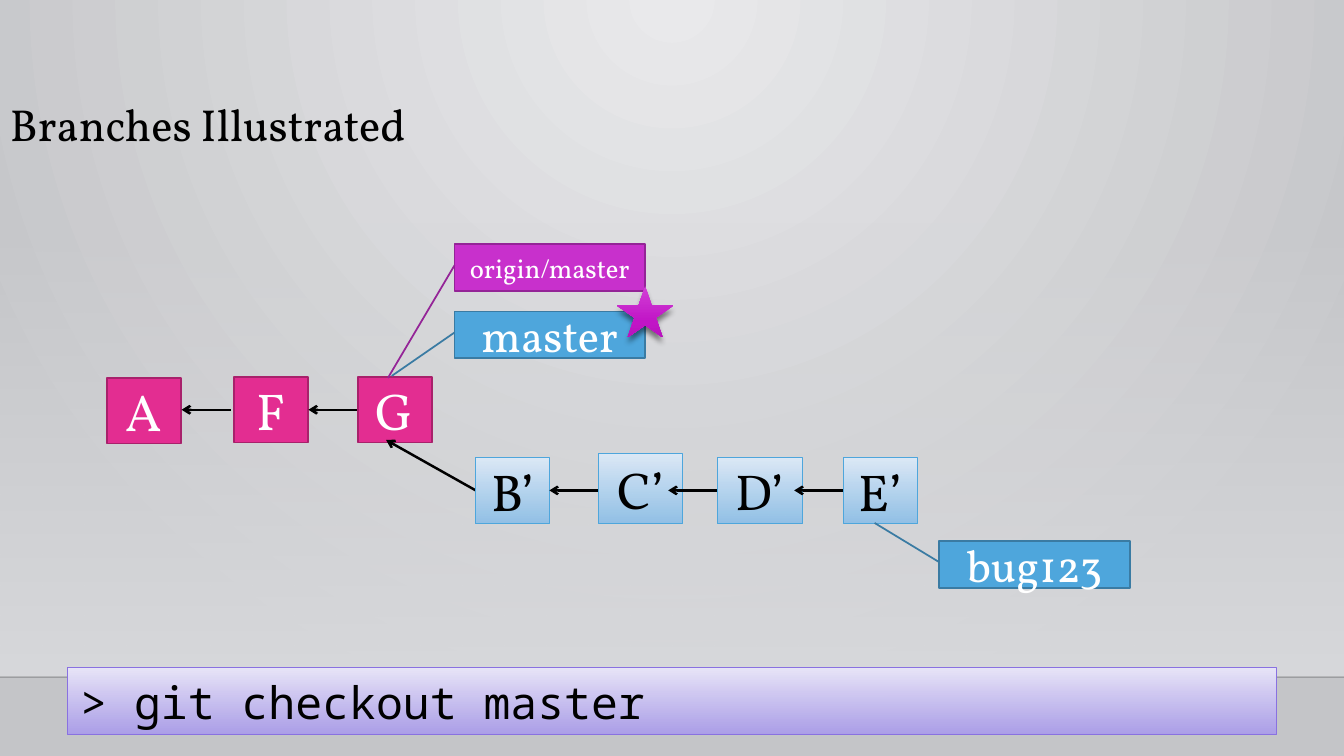
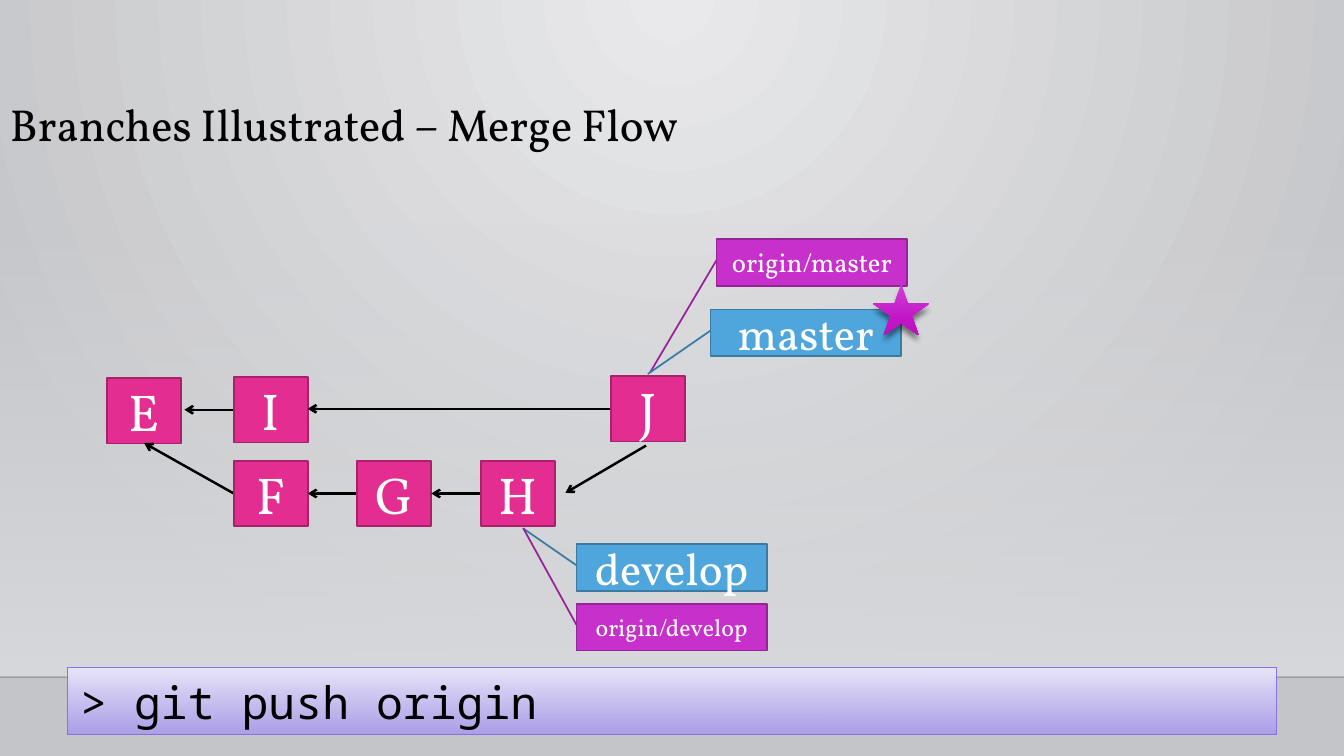
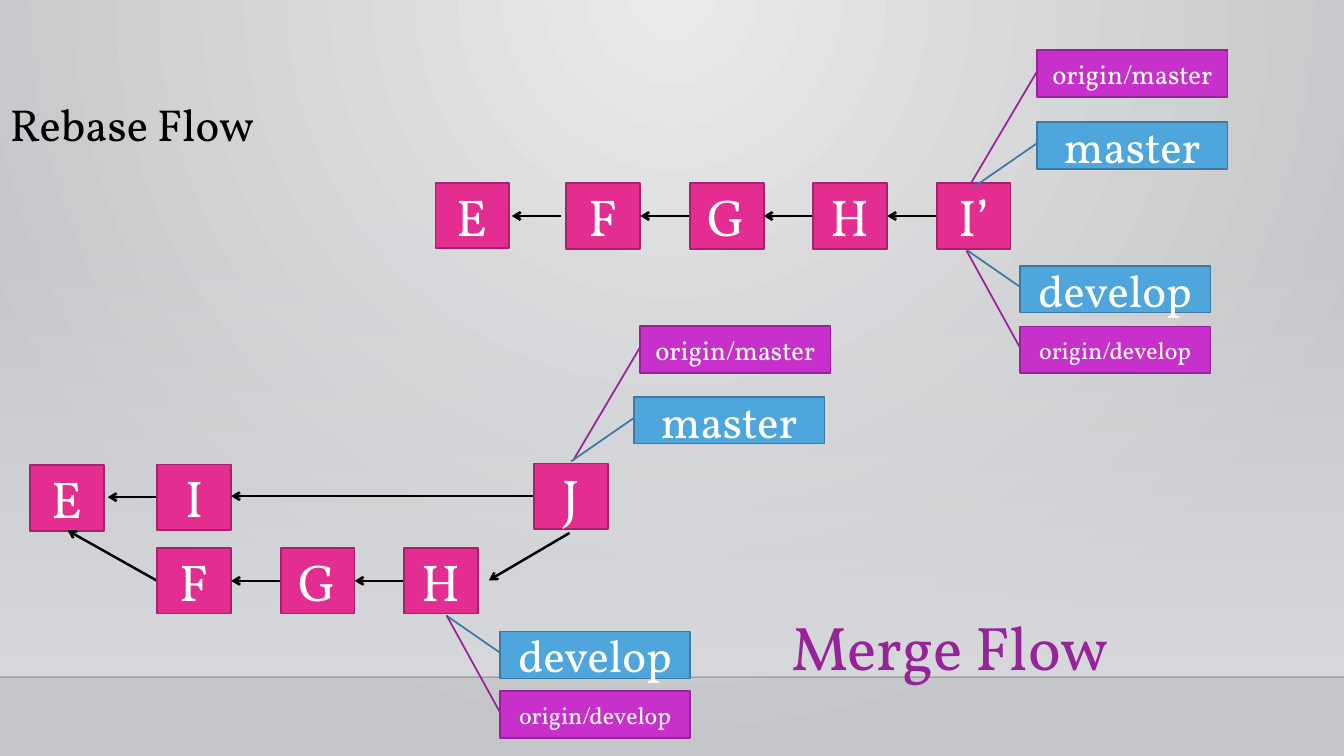
from lxml.etree import SubElement
from pptx import Presentation
from pptx.dml.color import RGBColor
from pptx.enum.shapes import MSO_CONNECTOR, MSO_SHAPE
from pptx.enum.text import MSO_ANCHOR, MSO_AUTO_SIZE, PP_ALIGN
from pptx.oxml import parse_xml
from pptx.oxml.ns import nsdecls, qn
from pptx.util import Pt

BLACK = RGBColor(0x00, 0x00, 0x00)
WHITE = RGBColor(0xFF, 0xFF, 0xFF)
PINK = RGBColor(0xE3, 0x2D, 0x91)
PINK_EDGE = RGBColor(0xA8, 0x21, 0x6B)
BLUE = RGBColor(0x4E, 0xA6, 0xDC)
BLUE_EDGE = RGBColor(0x3A, 0x7B, 0xA3)
PURPLE = RGBColor(0xC8, 0x30, 0xCC)
PURPLE_EDGE = RGBColor(0x94, 0x24, 0x97)
CAPTION = RGBColor(0x96, 0x24, 0x99)
LAVENDER_EDGE = RGBColor(0x89, 0x71, 0xE1)
BAND = RGBColor(0xD8, 0xD9, 0xDC)

BACKGROUND_STOPS = [(0, RGBColor(0xE9, 0xE9, 0xEB), 100), (100, RGBColor(0xC4, 0xC5, 0xC8), 100)]
BAND_STOPS = [(0, BAND, 0), (100, BAND, 100)]
REBASED_STOPS = [(0, RGBColor(0xDD, 0xEA, 0xF7), 100), (100, RGBColor(0x8D, 0xBF, 0xE8), 92)]
COMMAND_STOPS = [(0, RGBColor(0xE9, 0xE6, 0xF9), 100), (100, RGBColor(0xAA, 0x9C, 0xEB), 92)]
STAR_STOPS = [(0, RGBColor(0xD2, 0x41, 0xD6), 100), (69, RGBColor(0xC1, 0x15, 0xC6), 100),
              (100, RGBColor(0xB7, 0x14, 0xBC), 100)]

DOWNWARD = '<a:lin ang="5400000" scaled="0"/>'
FROM_TOP = '<a:path path="circle"><a:fillToRect l="43000" t="0" r="43000" b="100000"/></a:path>'

SERIF = "Vollkorn"
MONO = "Noto Sans Mono"
SLIDE_WIDTH, SLIDE_HEIGHT = 960, 540
COMMIT_WIDTH, COMMIT_HEIGHT = 52.8, 46.8
LABEL_WIDTH, LABEL_HEIGHT = 136, 33.4
PREVIOUS = (-35.3, 0)
FORK = (-64, -36)

BRANCHES = {
    "master": (BLUE, BLUE_EDGE, 32, (1.38, -0.33)),
    "develop": (BLUE, BLUE_EDGE, 32, (-0.34, -0.28)),
    "bug123": (BLUE, BLUE_EDGE, 32, (-0.39, -0.34)),
    "origin/master": (PURPLE, PURPLE_EDGE, 19, (2.86, -0.35)),
    "origin/develop": (PURPLE, PURPLE_EDGE, 17, (-1.62, -0.28)),
}


def gradient(stops, direction=DOWNWARD):
    marks = "".join(
        f'<a:gs pos="{position * 1000}"><a:srgbClr val="{color}">'
        f'<a:alpha val="{alpha * 1000}"/></a:srgbClr></a:gs>'
        for position, color, alpha in stops)
    return parse_xml(f'<a:gradFill {nsdecls("a")} rotWithShape="1">'
                     f'<a:gsLst>{marks}</a:gsLst>{direction}</a:gradFill>')


def write_text(holder, text, *, size, color=BLACK, font=SERIF, align=PP_ALIGN.LEFT,
               anchor=MSO_ANCHOR.MIDDLE, inset=(9.4, 5), spacing=None):
    frame = holder.text_frame
    frame.word_wrap = True
    frame.vertical_anchor = anchor
    frame.margin_left = frame.margin_right = Pt(inset[0])
    frame.margin_top = frame.margin_bottom = Pt(inset[1])
    paragraph = frame.paragraphs[0]
    paragraph.alignment = align
    if spacing:
        paragraph.line_spacing = spacing
    run = paragraph.add_run()
    run.text = text
    run.font.size = Pt(size)
    run.font.name = font
    run.font.color.rgb = color


def add_box(slide, kind, left, top, width, height, *, fill=None, stops=None, edge=None, weight=1.25):
    box = slide.shapes.add_shape(kind, Pt(left), Pt(top), Pt(width), Pt(height))
    box.shadow.inherit = False
    if stops:
        box.fill.background()
        properties = box.element.spPr
        properties.replace(properties.find(qn("a:noFill")), gradient(stops))
    else:
        box.fill.solid()
        box.fill.fore_color.rgb = fill
    if edge is None:
        box.line.fill.background()
    else:
        box.line.color.rgb = edge
        box.line.width = Pt(weight)
    return box


def add_line(slide, start, end, *, weight=1.75, arrow=True):
    line = slide.shapes.add_connector(MSO_CONNECTOR.STRAIGHT, *(Pt(v) for v in (*start, *end)))
    line.line.color.rgb = BLACK
    line.line.width = Pt(weight)
    properties = line.element.spPr
    if arrow:
        SubElement(properties.find(qn("a:ln")), qn("a:tailEnd"), type="arrow")
    SubElement(properties, qn("a:effectLst"))
    return line


def build_backdrop(slide):
    layout = slide.slide_layout
    background = parse_xml(f'<p:bg {nsdecls("p", "a")}><p:bgPr><a:effectLst/></p:bgPr></p:bg>')
    background[0].insert(0, gradient(BACKGROUND_STOPS, FROM_TOP))
    layout.element.cSld.insert(0, background)
    band = add_box(slide, MSO_SHAPE.RECTANGLE, 0, 158.4, SLIDE_WIDTH, 324, stops=BAND_STOPS)
    floor = add_line(slide, (0, 483.8), (SLIDE_WIDTH, 483.8), weight=1, arrow=False)
    SubElement(floor.element.spPr.find(".//" + qn("a:srgbClr")), qn("a:alpha"), val="20000")
    for part in (band, floor):
        layout.shapes.element.append(part.element)


def add_title(slide, text):
    title = slide.shapes.add_textbox(Pt(0), Pt(21.6), Pt(864), Pt(90))
    write_text(title, text, size=32, anchor=MSO_ANCHOR.BOTTOM, inset=(7.2, 3.6), spacing=0.9)


def add_command(slide, text):
    command = add_box(slide, MSO_SHAPE.RECTANGLE, 48, 476.6, 864, 48.4,
                      stops=COMMAND_STOPS, edge=LAVENDER_EDGE, weight=0.75)
    write_text(command, text, size=32, font=MONO, anchor=MSO_ANCHOR.TOP)
    command.text_frame.auto_size = MSO_AUTO_SIZE.SHAPE_TO_FIT_TEXT


def add_commit(slide, name, left, top, *, parent=PREVIOUS, gap=0, rebased=False,
               width=COMMIT_WIDTH, height=COMMIT_HEIGHT, size=37):
    if parent:
        start = (left - gap, top + height - COMMIT_HEIGHT / 2)
        add_line(slide, start, (start[0] + parent[0], start[1] + parent[1]))
    if rebased:
        look = dict(stops=REBASED_STOPS, edge=BLUE, weight=0.75)
    else:
        look = dict(fill=PINK, edge=PINK_EDGE)
    commit = add_box(slide, MSO_SHAPE.RECTANGLE, left, top, width, height, **look)
    write_text(commit, name, size=size, color=BLACK if rebased else WHITE, align=PP_ALIGN.CENTER)


def add_branch(slide, name, left, top):
    fill, edge, size, tip = BRANCHES[name]
    branch = add_box(slide, MSO_SHAPE.LINE_CALLOUT_1, left, top, LABEL_WIDTH, LABEL_HEIGHT,
                     fill=fill, edge=edge)
    for index, value in enumerate((0.45, 0, *tip)):
        branch.adjustments[index] = value
    write_text(branch, name, size=size, color=WHITE, align=PP_ALIGN.CENTER)


def add_head_star(slide, branch_left, branch_top):
    star = add_box(slide, MSO_SHAPE.STAR_5_POINT, branch_left + 116, branch_top - 18.2, 40.3, 36.7,
                   stops=STAR_STOPS)
    shadow = SubElement(star.element.spPr.find(qn("a:effectLst")), qn("a:outerShdw"),
                        blurRad=str(Pt(4)), dist=str(Pt(4)), dir="5400000", rotWithShape="0")
    shade = SubElement(shadow, qn("a:srgbClr"), val=str(BLACK))
    SubElement(shade, qn("a:alpha"), val="48000")


def add_bug_graph(slide, left, top):
    add_commit(slide, "A", left, top + 0.7, parent=None)
    add_commit(slide, "F", left + 90.7, top, gap=2)
    add_commit(slide, "G", left + 179.3, top)
    rebased_top = top + 57.6
    add_commit(slide, "B’", left + 263.5, rebased_top, parent=FORK, rebased=True)
    add_commit(slide, "C’", left + 351.4, rebased_top - 2.9, rebased=True, width=59.8, height=49.7)
    add_commit(slide, "D’", left + 436.3, rebased_top, rebased=True, width=60.5, size=36)
    add_commit(slide, "E’", left + 526.3, rebased_top, rebased=True)
    add_branch(slide, "bug123", left + 594.7, top + 117.3)
    master = (left + 248.4, top - 46.8)
    add_branch(slide, "master", *master)
    add_branch(slide, "origin/master", master[0], master[1] - 48)
    add_head_star(slide, *master)


def add_merge_graph(slide, left, top, *, head=False):
    add_commit(slide, "E", left, top + 1.4, parent=None)
    add_commit(slide, "I", left + 90.7, top + 0.7)
    for step, (name, parent) in enumerate((("F", FORK), ("G", PREVIOUS), ("H", PREVIOUS))):
        add_commit(slide, name, left + 90.7 + 88.2 * step, top + 60.5, parent=parent)
    add_commit(slide, "J", left + 360, top, parent=(-216.5, 0))
    add_line(slide, (left + 385.2, top + 49.7), (left + 327.6, top + 83.5))
    master = (left + 431.3, top - 47.5)
    add_branch(slide, "origin/master", left + 435.6, top - 97.9)
    add_branch(slide, "master", *master)
    add_branch(slide, "develop", left + 335.5, top + 120.2)
    add_branch(slide, "origin/develop", left + 335.5, top + 162.7)
    if head:
        add_head_star(slide, *master)


def add_rebase_graph(slide, left, top):
    add_commit(slide, "E", left, top, parent=None)
    for step, name in enumerate(("F", "G", "H", "I’")):
        add_commit(slide, name, left + 93.5 + 88.2 * step, top + 0.4, gap=0 if step else 3.6)
    add_branch(slide, "origin/master", left + 429.8, top - 94.5)
    add_branch(slide, "master", left + 429.8, top - 43.2)
    add_branch(slide, "develop", left + 417.6, top + 59.4)
    add_branch(slide, "origin/develop", left + 417.6, top + 102.8)


def main():
    deck = Presentation()
    deck.slide_width, deck.slide_height = Pt(SLIDE_WIDTH), Pt(SLIDE_HEIGHT)
    checkout, push, comparison = (deck.slides.add_slide(deck.slide_layouts[6]) for _ in range(3))
    build_backdrop(checkout)

    add_title(checkout, "Branches Illustrated")
    add_bug_graph(checkout, 76.3, 269.3)
    add_command(checkout, "> git checkout master")

    add_title(push, "Branches Illustrated – Merge Flow")
    add_merge_graph(push, 76.3, 268.6, head=True)
    add_command(push, "> git push origin")

    add_title(comparison, "Rebase Flow")
    add_rebase_graph(comparison, 311, 130.5)
    add_merge_graph(comparison, 21.6, 331)
    caption = comparison.shapes.add_textbox(Pt(555.8), Pt(416.2), Pt(350), Pt(90))
    write_text(caption, "Merge Flow", size=44, color=CAPTION)

    deck.save("out.pptx")


if __name__ == "__main__":
    main()
